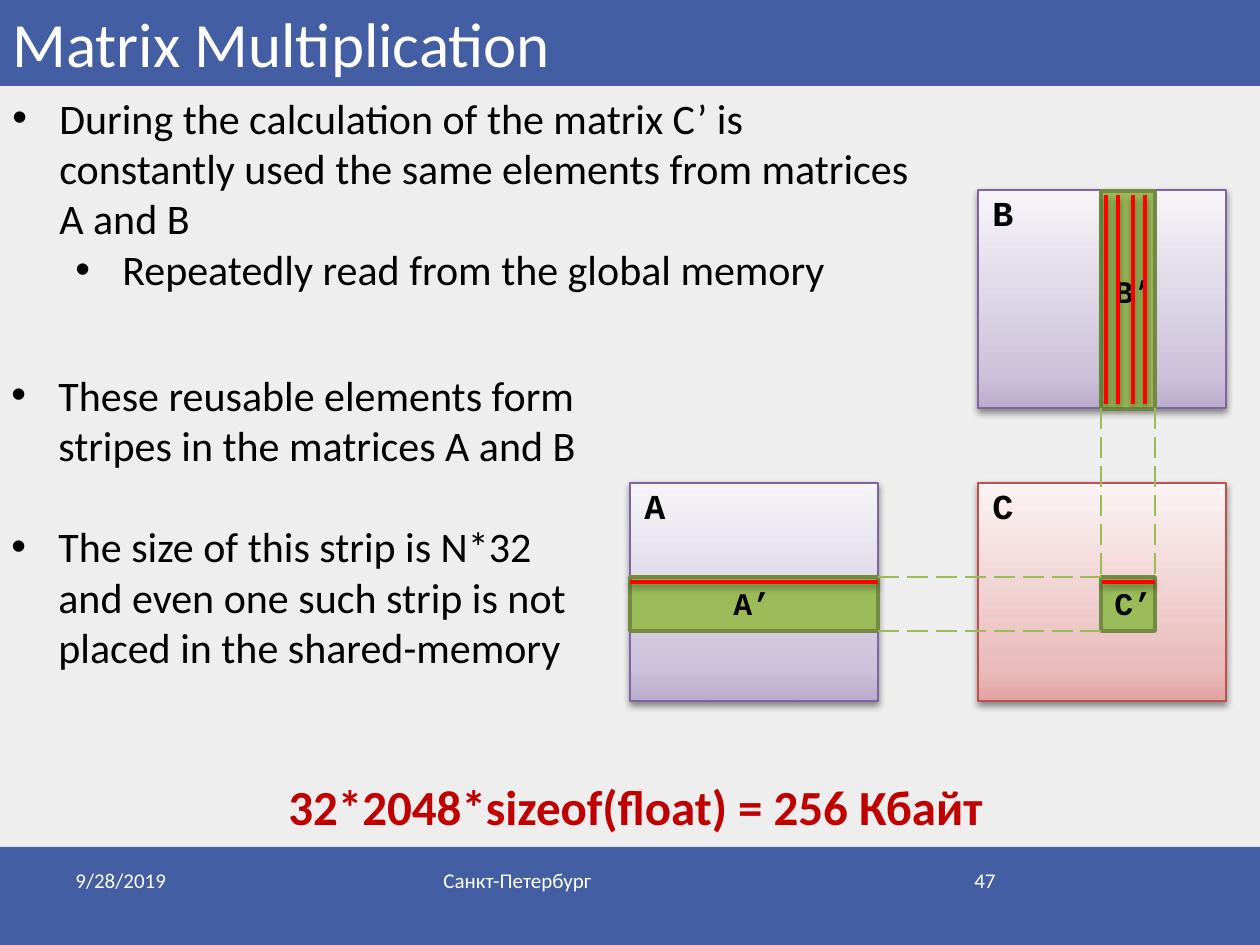
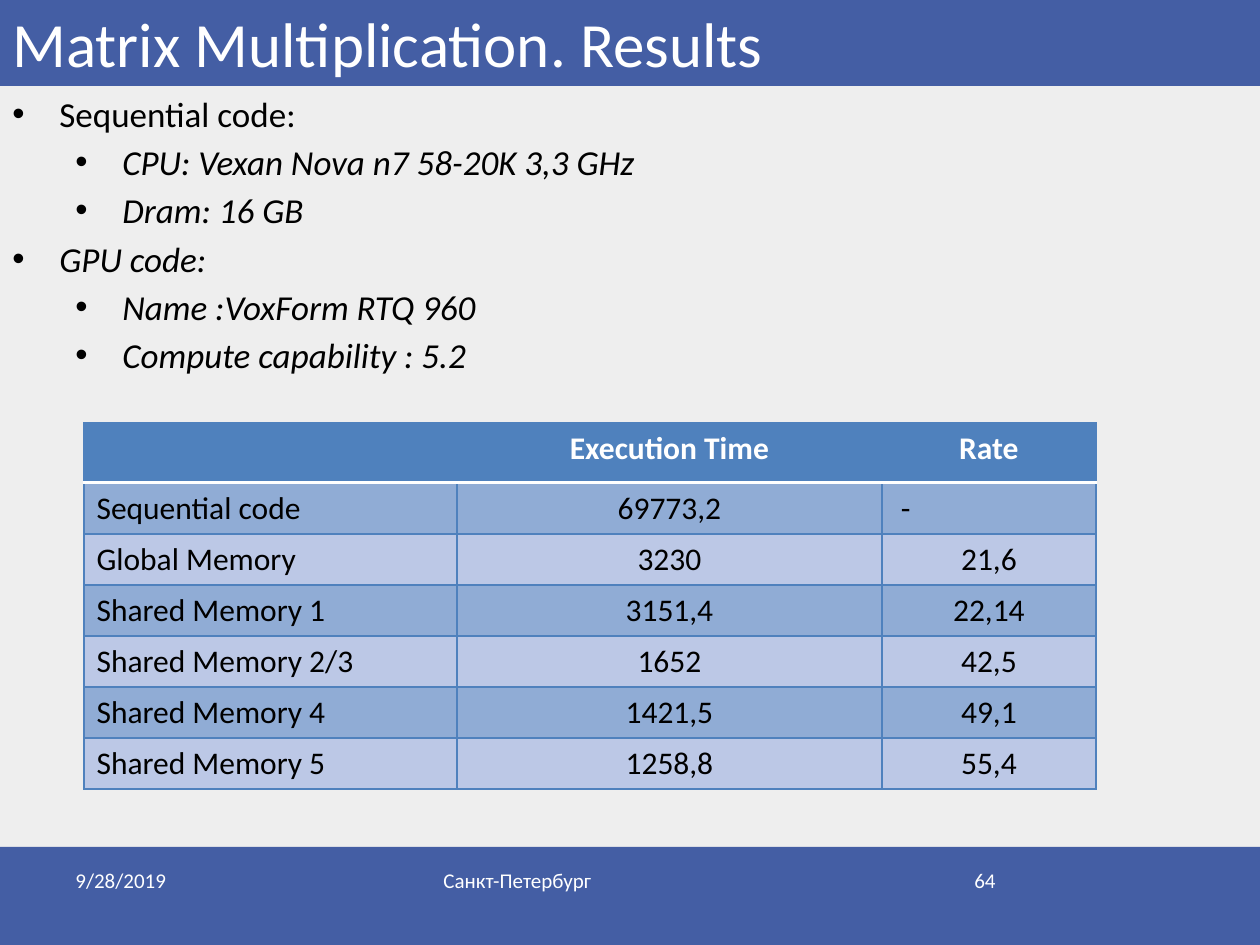
from collections import namedtuple
from copy import deepcopy
from dataclasses import dataclass

from lxml.etree import SubElement
from pptx import Presentation
from pptx.dml.color import RGBColor
from pptx.enum.dml import MSO_LINE
from pptx.enum.shapes import MSO_CONNECTOR, MSO_SHAPE
from pptx.enum.text import MSO_ANCHOR, PP_ALIGN
from pptx.oxml.ns import qn
from pptx.util import Pt


@dataclass(frozen=True)
class Theme:
    page: str = "EEEEEE"
    band: str = "445EA4"
    white: str = "FFFFFF"
    black: str = "000000"
    formula: str = "C00000"
    tile: str = "9BBB59"
    tile_edge: str = "738A42"
    reused: str = "FF0000"
    header: str = "4F81BD"
    row_dark: str = "90ACD5"
    row_light: str = "BCC8E6"
    body_font: str = "Calibri"
    label_font: str = "Courier New"
    title_size: int = 36
    formula_size: int = 28
    stripes_size: int = 24
    results_size: int = 20
    matrix_size: int = 20
    tile_size: int = 18
    table_size: int = 18
    footer_size: int = 12


THEME = Theme()
EMU_PER_PX = 914400 / 126
Box = namedtuple("Box", "left top width height")
Item = namedtuple("Item", "level text italic", defaults=(False,))

# Shared by both slides
PAGE = Box(0, 0, 1260, 945)
BANDS = [Box(0, 847, 1260, 98), Box(0, 0, 1260, 86)]
TITLE_BOX = BANDS[1]
DATE, CITY = "9/28/2019", "Санкт-Петербург"
DATE_BOX, CITY_BOX, NUMBER_BOX = (
    Box(left, 861, width, 66) for left, width in ((63, 294), (431, 399), (903, 105)))
TEXT_INDENTS, HANGING = (47, 110), 47

# Slide 47
STRIPES_TITLE = "Matrix Multiplication"
REUSE = [
    Item(0, "During the calculation of the matrix C’ is constantly used the same "
            "elements from matrices A and B"),
    Item(1, "Repeatedly read from the global memory"),
]
STRIPES = [
    Item(0, "These reusable elements form stripes in the matrices A and B"),
    Item(0, "The size of this strip is N*32 and even one such strip is not placed "
            "in the shared-memory"),
]
FORMULA = "32*2048*sizeof(float) = 256 Кбайт"
LILAC = [(0, "B9ACCD"), (0.15, "CCC2DB"), (1, "F6F4F8")]
ROSE = [(0, "E1A3A2"), (0.15, "E9BCBB"), (1, "FBF3F3")]
MATRIX_WIDTH, MATRIX_HEIGHT, TILE = 248, 218, 54
COLUMN_X, ROW_Y = 1101, 577  # where the strips of B and A start
MATRICES = {  # name: (left, top, gradient, edge)
    "B": (978, 190, LILAC, "8064A2"),
    "C": (978, 483, ROSE, "C0504D"),
    "A": (630, 483, LILAC, "8064A2"),
}
REUSED_COLUMNS_X = [1106, 1118, 1133, 1145]

# Slide 64
RESULTS_TITLE = "Matrix Multiplication. Results"
HARDWARE = [
    Item(0, "Sequential code:"),
    Item(1, "CPU: Vexan Nova n7 58-20K 3,3 GHz", True),
    Item(1, "Dram: 16 GB", True),
    Item(0, "GPU code:", True),
    Item(1, "Name :VoxForm RTQ 960", True),
    Item(1, "Compute capability : 5.2", True),
]
RESULTS = [
    ("", "Execution Time", "Rate"),
    ("Sequential code", "69773,2", "-"),
    ("Global Memory", "3230", "21,6"),
    ("Shared Memory 1", "3151,4", "22,14"),
    ("Shared Memory 2/3", "1652", "42,5"),
    ("Shared Memory 4", "1421,5", "49,1"),
    ("Shared Memory 5", "1258,8", "55,4"),
]
COLUMN_WIDTHS, HEADER_HEIGHT, ROW_HEIGHT = (373, 425, 214), 60, 51


def px(length):
    return round(length * EMU_PER_PX)


def emu(box):
    return [px(length) for length in box]


def rgb(color):
    return RGBColor.from_string(color)


def add_run(paragraph, text, size, color, font=THEME.body_font, bold=False, italic=False):
    run = paragraph.add_run()
    run.text = text
    run.font.name, run.font.size = font, Pt(size)
    run.font.bold, run.font.italic = bold, italic
    run.font.color.rgb = rgb(color)


def add_frame(slide, box, wrap=True):
    frame = slide.shapes.add_textbox(*emu(box)).text_frame
    frame.word_wrap = wrap
    return frame


def add_line_of_text(slide, box, text, size, color, wrap=True, align=PP_ALIGN.LEFT, **style):
    frame = add_frame(slide, box, wrap)
    frame.paragraphs[0].alignment = align
    add_run(frame.paragraphs[0], text, size, color, **style)
    return frame


def add_bullets(slide, box, items, size, gap=0):
    """Write bulleted items with gap points between them."""
    frame = add_frame(slide, box)
    for index, item in enumerate(items):
        paragraph = frame.add_paragraph() if index else frame.paragraphs[0]
        properties = paragraph._p.get_or_add_pPr()
        properties.set("marL", str(px(TEXT_INDENTS[item.level])))
        properties.set("indent", str(-px(HANGING)))
        SubElement(properties, qn("a:buFont"), typeface="Arial")
        SubElement(properties, qn("a:buChar"), char="•")
        paragraph.level = item.level
        if index:
            paragraph.space_before = Pt(gap)
        add_run(paragraph, item.text, size, THEME.black, italic=item.italic)


def fill_shadow(effects):
    """Put a soft shadow, falling straight down, into an a:effectLst."""
    shadow = SubElement(effects, qn("a:outerShdw"), blurRad=str(Pt(4)), dist=str(Pt(2)),
                        dir="5400000", rotWithShape="0")
    color = SubElement(shadow, qn("a:srgbClr"), val=THEME.black)
    SubElement(color, qn("a:alpha"), val="43000")


def add_rectangle(slide, box, fill, edge=None, weight=1):
    """Draw a rectangle; a list of stops as fill makes a shadowed gradient."""
    shape = slide.shapes.add_shape(MSO_SHAPE.RECTANGLE, *emu(box))
    shape.shadow.inherit = False
    properties = shape._element.spPr
    if isinstance(fill, str):
        shape.fill.solid()
        shape.fill.fore_color.rgb = rgb(fill)
    else:
        shape.fill.gradient()
        shape.fill.gradient_angle = 90
        stops = properties.find(".//" + qn("a:gsLst"))
        stops.insert(1, deepcopy(stops[0]))
        for stop, (position, color) in zip(shape.fill.gradient_stops, fill):
            stop.position = position
            stop.color.rgb = rgb(color)
        fill_shadow(properties.find(qn("a:effectLst")))
    if edge:
        shape.line.color.rgb = rgb(edge)
        shape.line.width = Pt(weight)
    else:
        shape.line.fill.background()


def add_line(slide, start, end, color, weight, dash=None, shadow=False):
    line = slide.shapes.add_connector(MSO_CONNECTOR.STRAIGHT, *emu(start + end))
    line.line.color.rgb = rgb(color)
    line.line.width = Pt(weight)
    if dash:
        line.line.dash_style = dash
    effects = SubElement(line._element.spPr, qn("a:effectLst"))
    if shadow:
        fill_shadow(effects)


def add_slide(presentation, title, number):
    slide = presentation.slides.add_slide(presentation.slide_layouts[6])
    slide.background.fill.solid()
    slide.background.fill.fore_color.rgb = rgb(THEME.page)
    for band in BANDS:
        add_rectangle(slide, band, THEME.band)
    heading = add_line_of_text(slide, TITLE_BOX, title, THEME.title_size, THEME.white)
    heading.vertical_anchor, heading.margin_top = MSO_ANCHOR.BOTTOM, 0
    for box, text, align in ((DATE_BOX, DATE, PP_ALIGN.LEFT),
                             (NUMBER_BOX, str(number), PP_ALIGN.RIGHT),
                             (CITY_BOX, CITY, PP_ALIGN.LEFT)):
        add_line_of_text(slide, box, text, THEME.footer_size, THEME.white, align=align)
    return slide


def add_label(slide, box, text, size):
    add_line_of_text(slide, box, text, size, THEME.black, wrap=False,
                     font=THEME.label_font, bold=True)


def add_matrices(slide):
    for name, (left, top, gradient, edge) in MATRICES.items():
        add_rectangle(slide, Box(left, top, MATRIX_WIDTH, MATRIX_HEIGHT), gradient, edge)
        add_label(slide, Box(left + 2, top - 5, 47, 55), name, THEME.matrix_size)

    a_left, b_top = MATRICES["A"][0], MATRICES["B"][1]
    a_right, b_bottom = a_left + MATRIX_WIDTH, b_top + MATRIX_HEIGHT
    strips = [
        ("B’", Box(COLUMN_X, b_top + 1, TILE, MATRIX_HEIGHT), (1102, 266)),
        ("A’", Box(a_left, ROW_Y, MATRIX_WIDTH, TILE), (721, 578)),
        ("C’", Box(COLUMN_X, ROW_Y, TILE, TILE), (1102, 578)),
    ]
    for name, strip, corner in strips:
        add_rectangle(slide, strip, THEME.tile, THEME.tile_edge, 2)
        add_label(slide, Box(*corner, 63, 50), name, THEME.tile_size)

    for shift in (0, TILE):
        x, y = COLUMN_X + shift, ROW_Y + shift
        for start, end in (((a_right, y), (COLUMN_X, y)), ((x, b_bottom), (x, ROW_Y))):
            add_line(slide, start, end, THEME.tile, 1.5, MSO_LINE.LONG_DASH)

    reused_y = ROW_Y + 5
    reused = [((a_left, reused_y), (a_right, reused_y))]
    reused += [((x, b_top + 5), (x, b_bottom - 4)) for x in REUSED_COLUMNS_X]
    reused.append(((COLUMN_X + 1, reused_y), (COLUMN_X + TILE, reused_y)))
    for start, end in reused:
        add_line(slide, start, end, THEME.reused, 2.5, shadow=True)


def set_borders(cell, row):
    """Edge the cell in blue, with a white rule under the header row."""
    properties = cell._tc.get_or_add_tcPr()
    for side in "LRTB":
        is_rule = (row, side) in ((0, "B"), (1, "T"))
        line = SubElement(properties, qn(f"a:ln{side}"), w=str(Pt(2 if is_rule else 1)))
        fill = SubElement(line, qn("a:solidFill"))
        SubElement(fill, qn("a:srgbClr"), val=THEME.white if is_rule else THEME.header)


def add_results(slide, left, top):
    heights = [HEADER_HEIGHT] + [ROW_HEIGHT] * (len(RESULTS) - 1)
    box = Box(left, top, sum(COLUMN_WIDTHS), sum(heights))
    table = slide.shapes.add_table(len(RESULTS), len(COLUMN_WIDTHS), *emu(box)).table
    table.first_row = table.horz_banding = False
    for column, width in zip(table.columns, COLUMN_WIDTHS):
        column.width = px(width)
    for row, (values, height) in enumerate(zip(RESULTS, heights)):
        table.rows[row].height = px(height)
        is_header = row == 0
        band = THEME.row_dark if row % 2 else THEME.row_light
        for column, value in enumerate(values):
            cell = table.cell(row, column)
            set_borders(cell, row)
            cell.fill.solid()
            cell.fill.fore_color.rgb = rgb(THEME.header if is_header else band)
            paragraph = cell.text_frame.paragraphs[0]
            if value == "-":
                cell.margin_left = px(19)
            elif column:
                paragraph.alignment = PP_ALIGN.CENTER
            if value:
                add_run(paragraph, value, THEME.table_size,
                        THEME.white if is_header else THEME.black, bold=is_header)


def main():
    presentation = Presentation()
    presentation.slide_width, presentation.slide_height = px(PAGE.width), px(PAGE.height)

    stripes = add_slide(presentation, STRIPES_TITLE, 47)
    add_bullets(stripes, Box(0, 86, 937, 217), REUSE, THEME.stripes_size)
    add_matrices(stripes)
    add_bullets(stripes, Box(-1, 363, 612, 318), STRIPES, THEME.stripes_size, gap=29)
    add_line_of_text(stripes, Box(276, 770, 748, 72), FORMULA, THEME.formula_size,
                     THEME.formula, wrap=False, bold=True)

    results = add_slide(presentation, RESULTS_TITLE, 64)
    add_bullets(results, Box(0, 86, 1225, 411), HARDWARE, THEME.results_size, gap=3.6)
    add_results(results, 84, 423)

    presentation.save("out.pptx")


if __name__ == "__main__":
    main()
